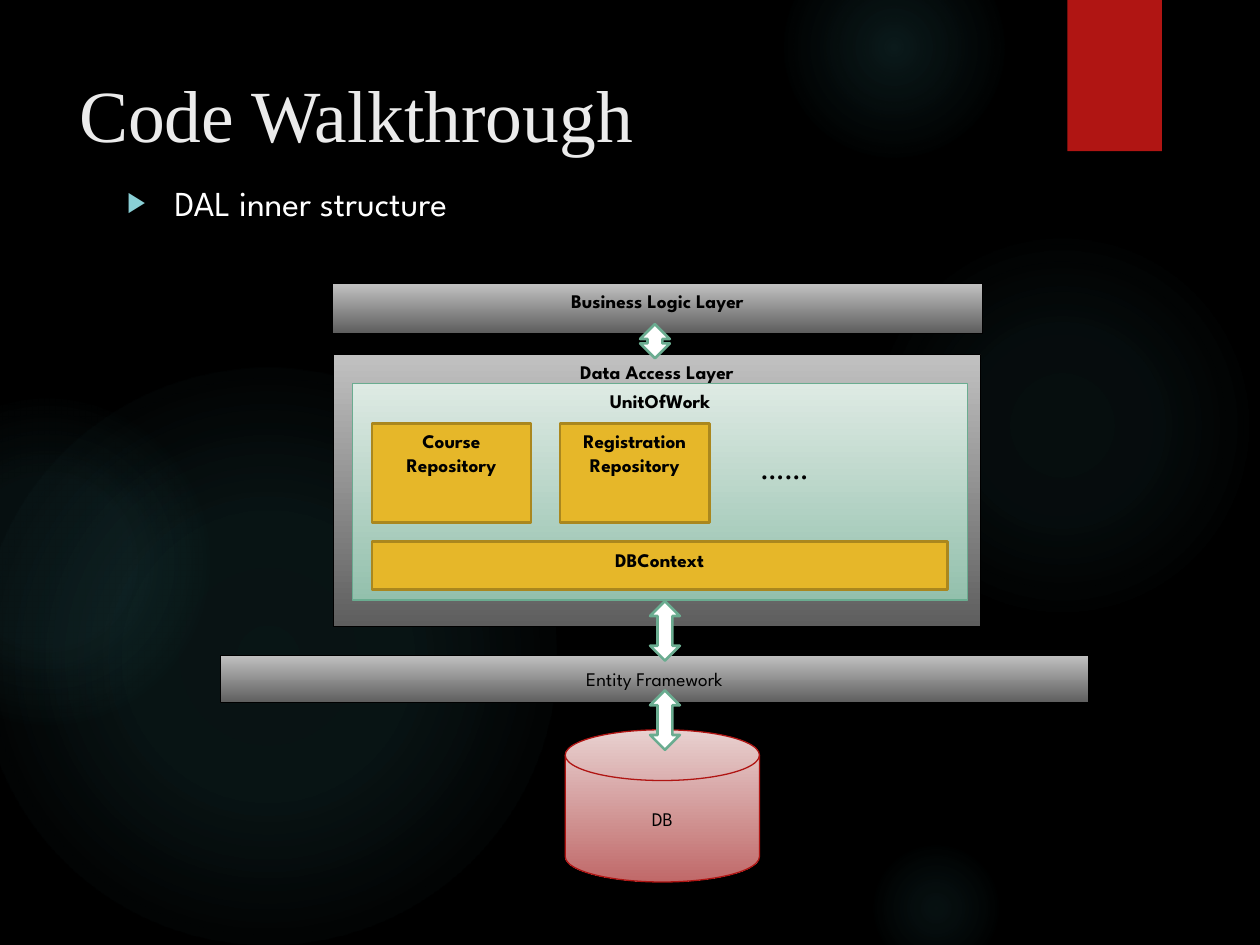
from lxml.etree import SubElement, fromstring
from pptx import Presentation
from pptx.dml.color import RGBColor
from pptx.enum.shapes import MSO_SHAPE
from pptx.enum.text import MSO_ANCHOR, MSO_AUTO_SIZE, PP_ALIGN
from pptx.oxml.ns import nsdecls, qn
from pptx.util import Pt

COLORS = {
    "background": "000000", "glow": "50B9C1", "ribbon": "B01513",
    "title": "EBEBEB", "body": "FFFFFF", "bullet": "8AD0D6", "ink": "000000",
    "layer_top": "C1C1C1", "layer_bottom": "5E5E5E",
    "unit_top": "DEEAE4", "unit_bottom": "93C0AC", "green": "6AAC90",
    "gold": "E6B729", "gold_edge": "AA871E", "arrow": "FFFFFF",
    "db_top": "E8D1D0", "db_bottom": "C06969",
}
LAYER = ("layer_top", "layer_bottom")
UNIT = ("unit_top", "unit_bottom")
DATABASE = ("db_top", "db_bottom")


def rgb(name):
    return RGBColor.from_string(COLORS[name])


def write_text(frame, text, size=11, color="ink", font="League Spartan",
               bold=False, align=PP_ALIGN.LEFT, anchor=MSO_ANCHOR.TOP):
    frame.text = text
    frame.word_wrap = True
    frame.auto_size = MSO_AUTO_SIZE.NONE
    frame.vertical_anchor = anchor
    for paragraph in frame.paragraphs:
        paragraph.alignment = align
        for run in paragraph.runs:
            run.font.size = Pt(size)
            run.font.name = font
            run.font.bold = bold
            run.font.color.rgb = rgb(color)


class DiagramSlide:
    """Holds the current slide and the style shared by its elements."""

    def __init__(self, slide):
        self.slide = slide
        self.shapes = slide.shapes
        slide.background.fill.solid()
        slide.background.fill.fore_color.rgb = rgb("background")

    def preset(self, kind, box, fill=None, edge=None, weight=0.75):
        """Add a shape; a pair of fill colours gives a top-to-bottom gradient."""
        shape = self.shapes.add_shape(kind, *map(Pt, box))
        shape.shadow.inherit = False
        if isinstance(fill, tuple):
            shape.fill.gradient()
            shape.fill.gradient_angle = 270
            for stop, color, position in zip(shape.fill.gradient_stops, fill, (0, 1)):
                stop.color.rgb = rgb(color)
                stop.position = position
        elif fill:
            shape.fill.solid()
            shape.fill.fore_color.rgb = rgb(fill)
        if edge:
            shape.line.color.rgb = rgb(edge)
            shape.line.width = Pt(weight)
        else:
            shape.line.fill.background()
        return shape

    def glow(self, left, top, diameter, stops):
        """Add a soft disc; stops are (position, opacity) in percent."""
        disc = self.preset(MSO_SHAPE.OVAL, (left, top, diameter, diameter), "glow")
        stop_xml = "".join(
            f'<a:gs pos="{position * 1000}"><a:srgbClr val="{COLORS["glow"]}">'
            f'<a:alpha val="{opacity * 1000}"/></a:srgbClr></a:gs>'
            for position, opacity in stops)
        gradient = fromstring(
            f'<a:gradFill {nsdecls("a")} rotWithShape="1"><a:gsLst>{stop_xml}</a:gsLst>'
            '<a:path path="circle"><a:fillToRect l="50000" t="50000" r="50000" b="50000"/>'
            '</a:path></a:gradFill>')
        properties = disc._element.spPr
        properties.replace(properties.find(qn("a:solidFill")), gradient)

    def ribbon(self, box):
        ribbon = self.preset(MSO_SHAPE.RECTANGLE, box, "ribbon")
        effects = ribbon._element.spPr.find(qn("a:effectLst"))
        shadow = SubElement(effects, qn("a:outerShdw"), blurRad=str(Pt(3)),
                            dist=str(Pt(2)), dir="5400000", rotWithShape="0")
        color = SubElement(shadow, qn("a:srgbClr"), val=COLORS["ink"])
        SubElement(color, qn("a:alpha"), val="45000")

    def placeholder(self, index, box, text, **style):
        """Fill a template placeholder and bring it in front of the backdrop."""
        holder = self.slide.placeholders[index]
        holder.left, holder.top, holder.width, holder.height = map(Pt, box)
        write_text(holder.text_frame, text, **style)
        self.shapes._spTree.append(holder._element)
        return holder

    def bullet_list(self, box, text):
        body = self.placeholder(1, box, text, size=20, color="body")
        for paragraph in body.text_frame.paragraphs:
            paragraph.space_before = Pt(10)
            properties = paragraph._p.get_or_add_pPr()
            properties.set("marL", str(Pt(27)))
            properties.set("indent", str(Pt(-27)))
            color = SubElement(properties, qn("a:buClr"))
            SubElement(color, qn("a:srgbClr"), val=COLORS["bullet"])
            SubElement(properties, qn("a:buSzPct"), val="80000")
            SubElement(properties, qn("a:buChar"), char="▶")

    def block(self, box, text, fill, edge, weight=0.75, bold=True,
              anchor=MSO_ANCHOR.TOP, kind=MSO_SHAPE.RECTANGLE):
        block = self.preset(kind, box, fill, edge, weight)
        write_text(block.text_frame, text, bold=bold, anchor=anchor,
                   align=PP_ALIGN.CENTER)

    def component(self, box, text):
        self.block(box, text, "gold", "gold_edge", 1.5)

    def exchange_arrow(self, left, top, length):
        arrow = self.preset(MSO_SHAPE.LEFT_RIGHT_ARROW, (left, top, length, 17),
                            "arrow", "green", 1.5)
        arrow.rotation = 90

    def label(self, box, text, **style):
        label = self.shapes.add_textbox(*map(Pt, box))
        write_text(label.text_frame, text, **style)


def main():
    deck = Presentation()
    deck.slide_width, deck.slide_height = Pt(720), Pt(540)
    page = DiagramSlide(deck.slides.add_slide(deck.slide_layouts[1]))

    page.glow(496, 132, 222, [(0, 7), (36, 6), (69, 0)])
    page.glow(448, -36, 126, [(0, 14), (36, 7), (73, 0)])
    page.glow(496, 480, 78, [(0, 9), (36, 5), (66, 0)])
    page.glow(-12, 210, 330, [(0, 11), (36, 10), (75, 0)])
    page.glow(-66, 228, 186, [(0, 8), (36, 8), (72, 0)])
    page.ribbon((610, 0, 54, 86.4))

    page.placeholder(0, (38, 36, 556, 110), "Code Walkthrough", size=42,
                     color="title", font="Times New Roman")
    page.bullet_list((65.5, 100, 442, 45.4), "DAL inner structure")

    page.block((323, 417, 111, 87), "DB", DATABASE, "ribbon", bold=False,
               anchor=MSO_ANCHOR.MIDDLE, kind=MSO_SHAPE.FLOWCHART_MAGNETIC_DISK)
    page.block((126, 374.5, 496, 27), "Entity Framework", LAYER, "ink",
               bold=False, anchor=MSO_ANCHOR.MIDDLE)
    page.block((190.5, 202.5, 370, 155.5), "Data Access Layer", LAYER, "ink")
    page.block((190, 162, 371.5, 28.5), "Business Logic Layer", LAYER, "ink")
    page.exchange_arrow(363, 352, 34)
    page.exchange_arrow(364.5, 186.5, 19.5)
    page.block((201.5, 219, 351.5, 124), "UnitOfWork", UNIT, "green")
    page.component((212.5, 309.5, 329, 27.5), "DBContext")
    page.exchange_arrow(363, 403, 34)
    page.component((212.5, 242, 91, 56.5), "Course\nRepository")
    page.component((320, 242, 85.5, 56.5), "Registration\nRepository")
    page.label((427.5, 252.5, 91, 29), "……", size=18)

    deck.save("out.pptx")


if __name__ == "__main__":
    main()
